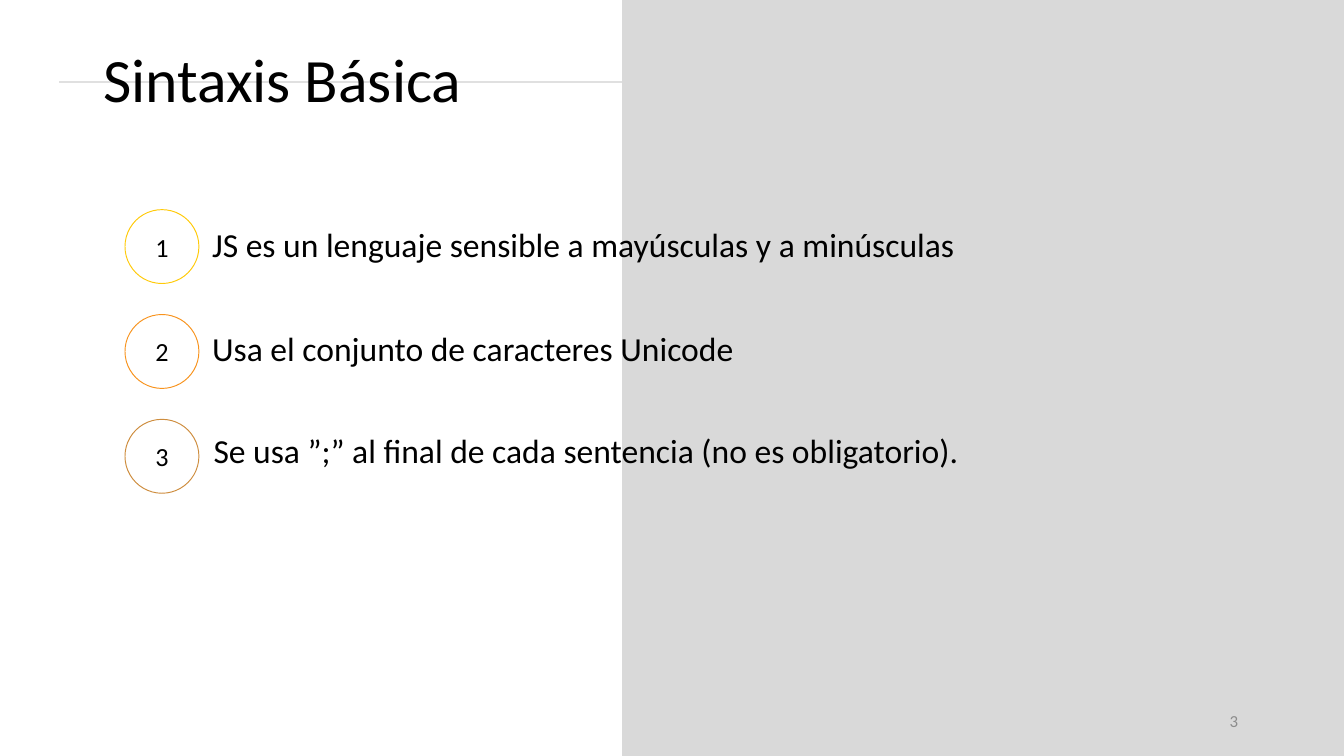
from lxml.etree import SubElement
from pptx import Presentation
from pptx.dml.color import RGBColor
from pptx.enum.shapes import MSO_CONNECTOR, MSO_SHAPE
from pptx.enum.text import MSO_ANCHOR, PP_ALIGN
from pptx.oxml.ns import qn
from pptx.util import Inches, Pt

BLACK = RGBColor(0x00, 0x00, 0x00)
PANEL_GRAY = RGBColor(0xD9, 0xD9, 0xD9)
RULE_GRAY = RGBColor(0xE0, 0xE0, 0xE0)
NUMBER_GRAY = RGBColor(0x8C, 0x8C, 0x8C)
YELLOW = RGBColor(0xFF, 0xCA, 0x08)
ORANGE = RGBColor(0xF8, 0x93, 0x1D)
BROWN = RGBColor(0xCE, 0x8D, 0x3E)

FONT = "Calibri"
SLIDE_WIDTH = 10
SLIDE_HEIGHT = SLIDE_WIDTH * 9 / 16
BADGE_SIZE = 0.55
ROW_PITCH = 0.78

# Wording, badge colour, text box: left and top within the row, width, height
RULES = [
    ("JS es un lenguaje sensible a mayúsculas y a minúsculas",
     YELLOW, (0.55, 0.06, 5.79, 0.4)),
    ("Usa el conjunto de caracteres Unicode",
     ORANGE, (0.55, 0.05, 4.1, 0.4)),
    ("Se usa ”;” al final de cada sentencia (no es obligatorio).",
     BROWN, (0.56, 0.03, 5.81, 0.57)),
]


def write_text(shape, text, size, color=BLACK, align=PP_ALIGN.LEFT,
               anchor=MSO_ANCHOR.MIDDLE, wrap=True, line_spacing=None):
    frame = shape.text_frame
    frame.word_wrap = wrap
    frame.vertical_anchor = anchor
    paragraph = frame.paragraphs[0]
    paragraph.alignment = align
    paragraph.line_spacing = line_spacing
    run = paragraph.add_run()
    run.text = text
    run.font.name = FONT
    run.font.size = Pt(size)
    run.font.color.rgb = color


def add_text(slide, left, top, width, height, text, size, **text_format):
    box = slide.shapes.add_textbox(
        Inches(left), Inches(top), Inches(width), Inches(height))
    write_text(box, text, size, **text_format)


def add_background(slide, left, top, width, height):
    """Draw the header rule and the gray panel that covers its right part."""
    rule_y = Inches(top + 0.61)
    rule = slide.shapes.add_connector(
        MSO_CONNECTOR.STRAIGHT, Inches(left + width - 0.47), rule_y,
        Inches(left + 0.44), rule_y)
    rule.line.color.rgb = RULE_GRAY
    rule.line.width = Pt(0.75)
    SubElement(rule._element.spPr, qn("a:effectLst"))

    panel_left = left + 4.63
    panel = slide.shapes.add_shape(
        MSO_SHAPE.RECTANGLE, Inches(panel_left), Inches(top),
        Inches(left + width - panel_left), Inches(height))
    panel.shadow.inherit = False
    panel.fill.solid()
    panel.fill.fore_color.rgb = PANEL_GRAY
    panel.line.fill.background()


def add_rule_row(slide, left, top, number, text, color, text_box):
    """Draw a numbered badge with its sentence to the right."""
    badge = slide.shapes.add_shape(
        MSO_SHAPE.OVAL, Inches(left), Inches(top),
        Inches(BADGE_SIZE), Inches(BADGE_SIZE))
    badge.shadow.inherit = False
    badge.fill.background()
    badge.line.color.rgb = color
    badge.line.width = Pt(0.5)
    write_text(badge, str(number), 14, align=PP_ALIGN.CENTER)

    text_left, text_top, width, height = text_box
    add_text(slide, left + text_left, top + text_top, width, height, text, 18,
             anchor=MSO_ANCHOR.TOP, wrap=False)


def add_rule_list(slide, left, top):
    for index, (text, color, text_box) in enumerate(RULES):
        add_rule_row(slide, left, top + index * ROW_PITCH,
                     index + 1, text, color, text_box)


def main():
    presentation = Presentation()
    presentation.slide_width = Inches(SLIDE_WIDTH)
    presentation.slide_height = Inches(SLIDE_HEIGHT)
    slide = presentation.slides.add_slide(presentation.slide_layouts[6])

    add_background(slide, 0, 0, SLIDE_WIDTH, SLIDE_HEIGHT)
    add_text(slide, 0.67, 0.07, 8.62, 1.09, "Sintaxis Básica", 33,
             line_spacing=0.9)
    add_text(slide, 7.06, 5.21, 2.25, 0.3, "3", 9,
             color=NUMBER_GRAY, align=PP_ALIGN.RIGHT)
    add_rule_list(slide, 0.93, 1.56)

    presentation.save("out.pptx")


if __name__ == "__main__":
    main()
